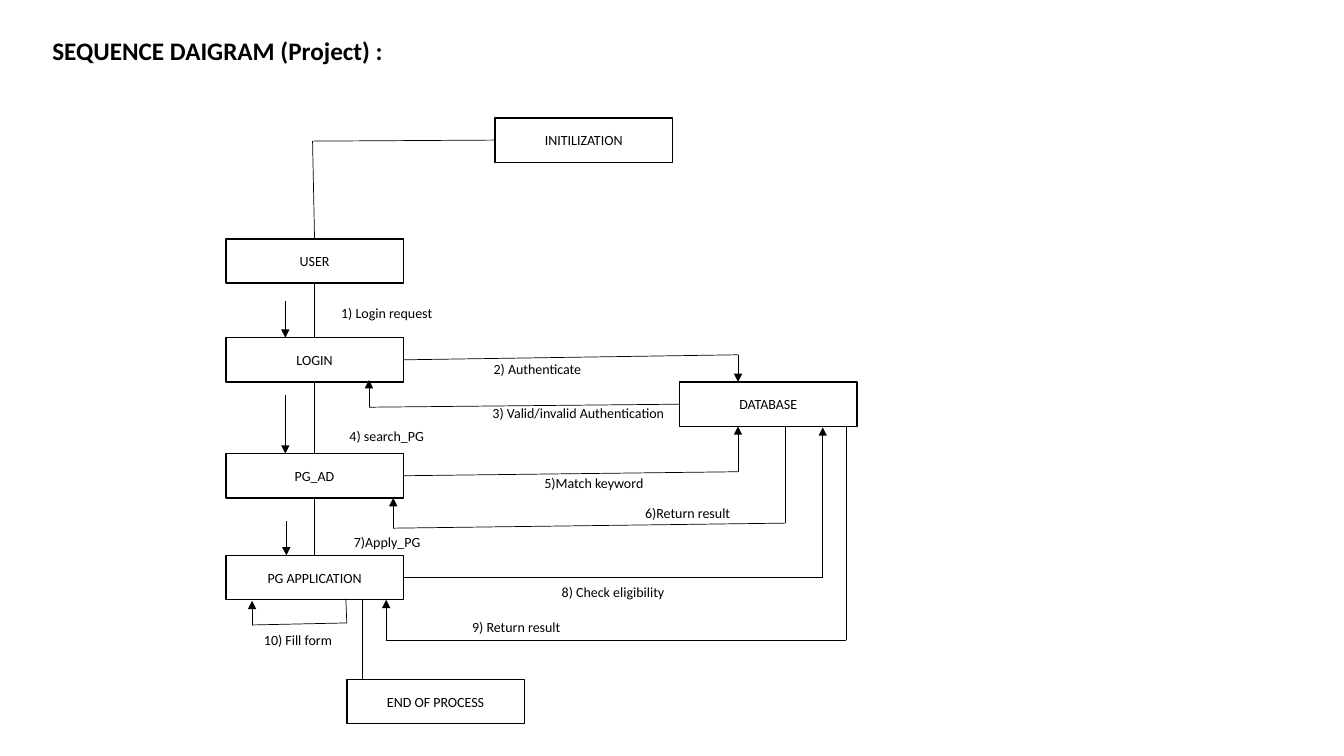
from itertools import pairwise

from lxml import etree
from pptx import Presentation
from pptx import util as u
from pptx.dml.color import RGBColor
from pptx.enum import shapes, text
from pptx.oxml import ns

BLACK = RGBColor(0x00, 0x00, 0x00)
WHITE = RGBColor(0xFF, 0xFF, 0xFF)
FONT = "Calibri"
NODE_WIDTH, NODE_HEIGHT = 1.76, 0.44
TOP, LEFT, BOTTOM, RIGHT = range(4)
SIDE_OFFSETS = {
    TOP: (NODE_WIDTH / 2, 0),
    LEFT: (0, NODE_HEIGHT / 2),
    BOTTOM: (NODE_WIDTH / 2, NODE_HEIGHT),
    RIGHT: (NODE_WIDTH, NODE_HEIGHT / 2),
}

NODES = {
    "DATABASE": (4.5, 2.62),
    "PG APPLICATION": (0, 4.34),
    "INITILIZATION": (2.67, 0),
    "USER": (0, 1.2),
    "LOGIN": (0, 2.18),
    "PG_AD": (0, 3.33),
    "END OF PROCESS": (1.2, 5.57),
}

LIFELINES = [
    [("INITILIZATION", LEFT), (0.86, 0.23), ("USER", TOP)],
    [("USER", BOTTOM), ("LOGIN", TOP)],
    [("LOGIN", BOTTOM), ("PG_AD", TOP)],
    [("PG_AD", BOTTOM), ("PG APPLICATION", TOP)],
    [(1.35, 4.78), (1.35, 5.57)],
]

MESSAGES = [
    [(0.59, 1.82), (0.59, 2.18)],
    [("LOGIN", RIGHT), (5.08, 2.35), (5.08, 2.62)],
    [("DATABASE", LEFT), (1.42, 2.87), (1.42, 2.6)],
    [(0.59, 2.75), (0.59, 3.33)],
    [("PG_AD", RIGHT), (5.08, 3.51), (5.08, 3.06)],
    [(5.55, 3.07), (5.55, 4.02), (1.66, 4.07), (1.66, 3.77)],
    [(0.6, 4), (0.6, 4.34)],
    [("PG APPLICATION", RIGHT), (5.92, 4.56), (5.92, 3.07)],
    [(6.15, 3.06), (6.15, 5.18), (1.59, 5.18), (1.59, 4.78)],
    [(1.19, 4.77), (1.2, 5.01), (0.26, 5.03), (0.26, 4.79)],
]

LABELS = [
    ("1) Login request", 0.96, 1.71, 1.27, 0.44),
    ("2) Authenticate", 2.21, 2.43, 1.76, 0.13),
    ("3) Valid/invalid Authentication", 2.52, 2.88, 1.95, 0.1),
    ("4) search_PG", 0.91, 3.01, 1.37, 0.28),
    ("5)Match keyword", 2.83, 3.59, 1.64, 0.07),
    ("6)Return result", 3.7, 3.83, 1.76, 0.17),
    ("7)Apply_PG", 0.92, 4.13, 1.36, 0.16),
    ("8) Check eligibility", 2.96, 4.61, 1.76, 0.19),
    ("9) Return result", 2, 4.94, 1.76, 0.21),
    ("10) Fill form", 0.13, 5.09, 1.17, 0.17),
]


def style_text(para, size, bold=False):
    """Set the font of a paragraph."""
    para.font.name = FONT
    para.font.size = u.Pt(size)
    para.font.bold = bold
    para.font.color.rgb = BLACK


def add_box(page, words, left, top, width, height, outline):
    """Add a white rectangle with centred text."""
    box = page.shapes.add_shape(
        shapes.MSO_SHAPE.RECTANGLE, *map(u.Inches, (left, top, width, height))
    )
    box.shadow.inherit = False
    box.fill.solid()
    box.fill.fore_color.rgb = WHITE
    box.line.color.rgb = outline
    box.line.width = u.Pt(1)
    frame = box.text_frame
    frame.vertical_anchor = text.MSO_ANCHOR.MIDDLE
    para = frame.paragraphs[0]
    para.text = words
    para.alignment = text.PP_ALIGN.CENTER
    style_text(para, 10)
    return box


def add_line(page, start, end, arrow):
    """Add a thin black line, with an arrowhead at its end if asked."""
    line = page.shapes.add_connector(
        shapes.MSO_CONNECTOR.STRAIGHT, *map(u.Inches, (*start, *end))
    )
    line.line.color.rgb = BLACK
    line.line.width = u.Pt(0.5)
    if arrow:
        outline = line.line._get_or_add_ln()
        etree.SubElement(outline, ns.qn("a:tailEnd"), type="triangle")
    etree.SubElement(line._element.spPr, ns.qn("a:effectLst"))
    return line


def add_route(page, route, nodes, left, top, arrow):
    """Draw a route through points and node sides, joining it to the nodes."""

    def locate(stop):
        """Return the slide position of a point or node side."""
        x, y = stop
        if x in nodes:
            x, y = (a + b for a, b in zip(NODES[x], SIDE_OFFSETS[y]))
        return left + x, top + y

    legs = list(pairwise(route))
    for number, (start, end) in enumerate(legs, 1):
        is_last = number == len(legs)
        line = add_line(page, locate(start), locate(end), arrow and is_last)
        if start[0] in nodes:
            line.begin_connect(nodes[start[0]], start[1])
        if end[0] in nodes:
            line.end_connect(nodes[end[0]], end[1])


def add_diagram(page, left, top):
    """Draw the nodes, lifelines, messages and message labels."""
    nodes = {
        name: add_box(page, name, left + x, top + y, NODE_WIDTH, NODE_HEIGHT, BLACK)
        for name, (x, y) in NODES.items()
    }
    for routes, arrow in ((LIFELINES, False), (MESSAGES, True)):
        for route in routes:
            add_route(page, route, nodes, left, top, arrow)
    for words, x, y, width, height in LABELS:
        add_box(page, words, left + x, top + y, width, height, WHITE)


def add_title(page, left, top, width, height):
    """Add the bold slide title."""
    box = page.shapes.add_textbox(*map(u.Inches, (left, top, width, height)))
    frame = box.text_frame
    frame.word_wrap = True
    frame.auto_size = text.MSO_AUTO_SIZE.SHAPE_TO_FIT_TEXT
    para = frame.paragraphs[0]
    para.text = "SEQUENCE DAIGRAM (Project) :"
    style_text(para, 18, bold=True)


def main():
    """Build and save the deck."""
    deck = Presentation()
    deck.slide_width, deck.slide_height = u.Inches(13.33), u.Inches(7.5)
    page = deck.slides.add_slide(deck.slide_layouts[6])
    add_diagram(page, 2.24, 1.17)
    add_title(page, 0.42, 0.3, 3.81, 0.4)
    deck.save("out.pptx")


if __name__ == "__main__":
    main()
